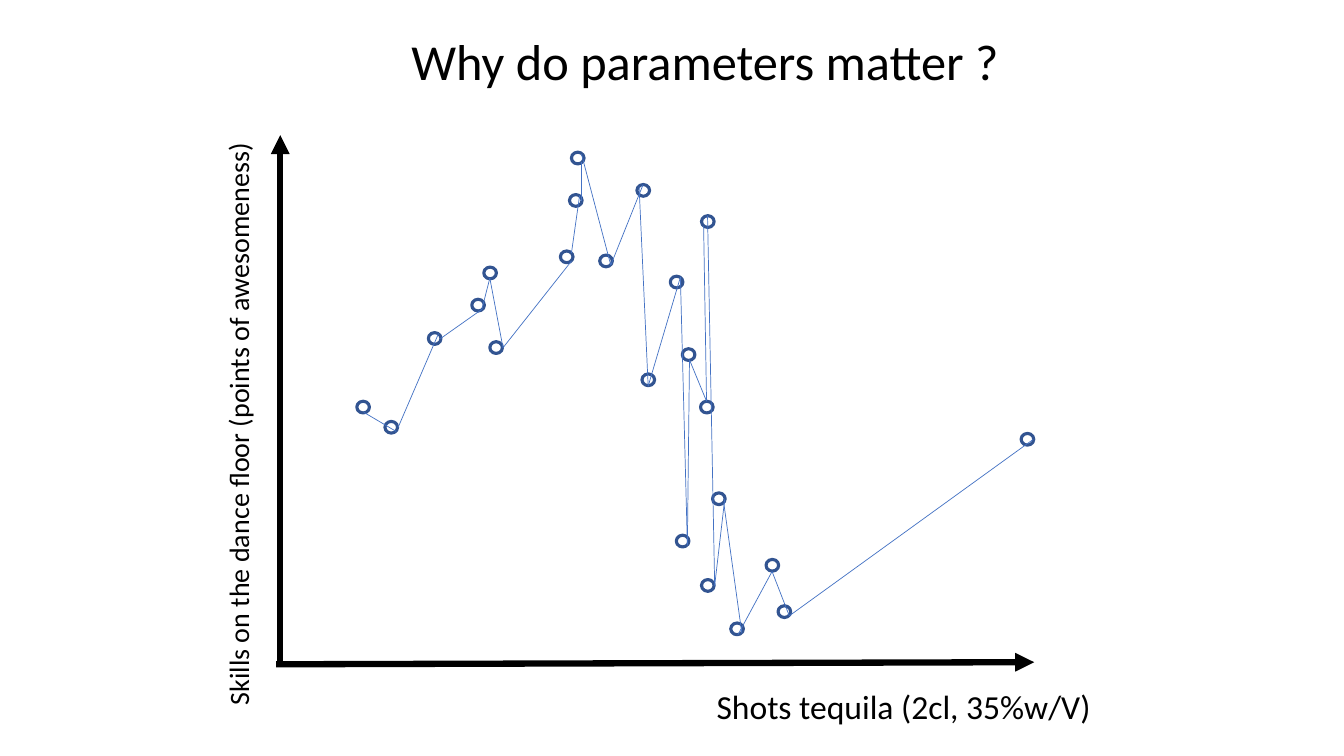
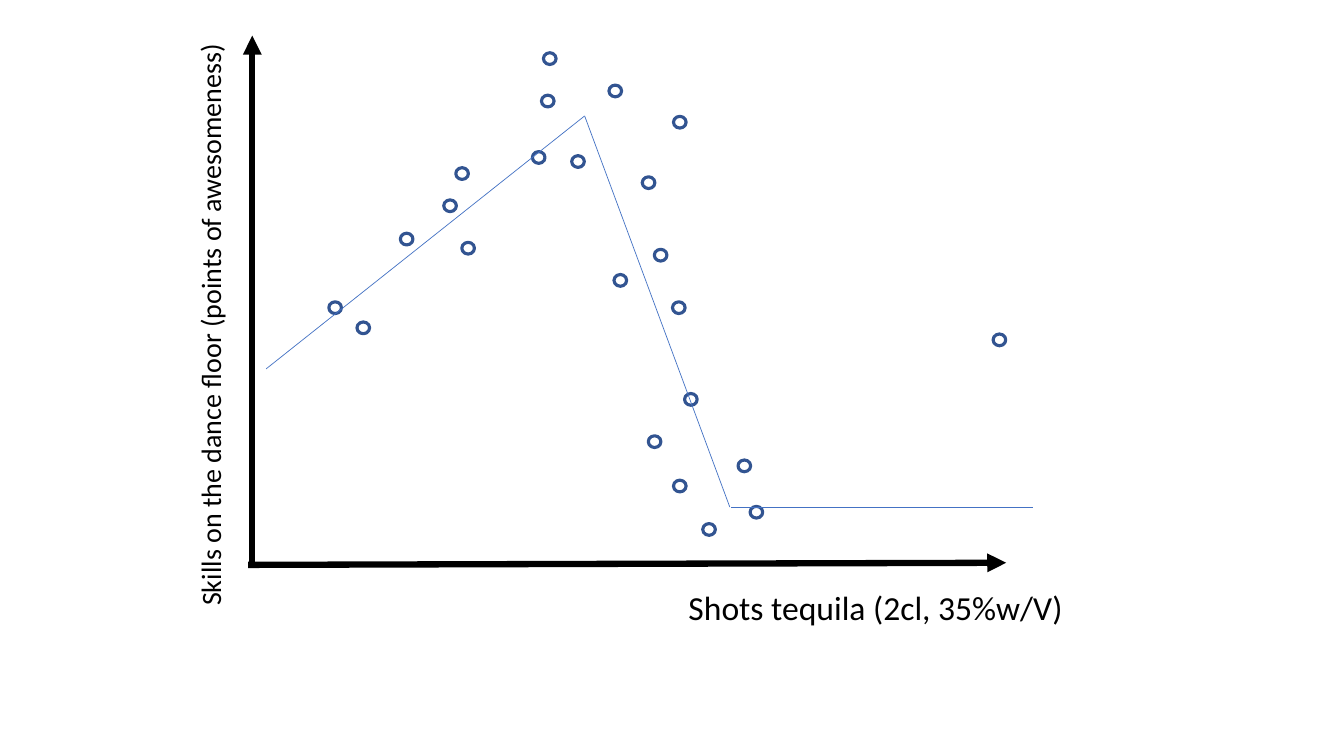
from itertools import pairwise

from lxml.etree import SubElement
from pptx import Presentation
from pptx.dml.color import RGBColor
from pptx.enum.shapes import MSO_CONNECTOR as Connector, MSO_SHAPE as Shape
from pptx.enum.text import MSO_ANCHOR as Anchor, PP_ALIGN as Align
from pptx.oxml.ns import qn
from pptx.util import Pt

BLACK = RGBColor(0x00, 0x00, 0x00)
BLUE = RGBColor(0x44, 0x72, 0xC4)
DARK_BLUE = RGBColor(0x32, 0x54, 0x91)
FONT = "Calibri"
TITLE_ONLY, BLANK = 5, 6

TITLE = "Why do parameters matter ?"
TITLE_BOX = (286.6, 17.3, 438.5, 51)

AXES = [
    [(200.2, 475.9), (200.2, 96.5)],
    [(197.3, 474.5), (738.7, 473)],
]
AXIS_LABELS = [
    ("Shots tequila (2cl, 35%w/V)", (504.7, 486.7, 289.4, 36), 24, 0),
    ("Skills on the dance floor (points of awesomeness)",
     (-39.6, 285.1, 419.8, 31.7), 20, 270),
]
DOT_WIDTH, DOT_HEIGHT = 9, 8.4
DOTS = [
    (254.9, 286.6), (275, 301), (306, 237.6), (337, 213.8), (345.6, 190.8),
    (349.9, 244.1), (400.3, 179.3), (406.8, 139), (408.2, 108.7),
    (428.4, 182.2), (455, 131.8), (458.6, 267.1), (478.8, 197.3),
    (483.1, 382.3), (487.4, 249.1), (500.4, 286.6), (501.1, 154.1),
    (501.1, 414), (509, 352.1), (522, 445), (547.2, 399.6),
    (555.8, 432.7), (729.4, 309.6),
]
DOT_TO_DOT = [
    [(259.9, 294.5), (283, 308.2)],
    [(284.4, 305.3), (313.2, 238.3)],
    [(314.6, 241.9), (344.2, 221), (349.9, 198.7), (359.3, 248.4),
     (408.2, 186.5)],
    [(408.2, 180.7), (414, 139.7)],
    [(415.4, 143.3), (415.4, 115.9)],
    [(415.4, 110.2), (436.3, 189.4), (459.4, 131.8)],
    [(456.5, 133.2), (463, 275.8), (486, 198), (491, 389.5),
     (492.5, 257), (504.7, 286.6), (502.6, 161.3)],
    [(505.4, 154.1), (510.5, 418.3), (517.7, 356.4)],
    [(517, 359.3), (529.9, 452.2)],
    [(527, 453.6), (551.5, 408.2), (563.8, 439.9), (738, 313.9)],
]
TREND = [
    [(190.1, 263.5), (417.6, 82.8), (521.3, 362.2)],
    [(522, 362.2), (738, 362.2)],
]
SLIDES = [
    (TITLE, (0, 0), DOT_TO_DOT),
    (None, (-20, -71), TREND),
]


def write(frame, text, size):
    frame.word_wrap = True
    paragraph = frame.paragraphs[0]
    paragraph.text = text
    paragraph.alignment = Align.LEFT
    paragraph.font.name = FONT
    paragraph.font.size = Pt(size)
    paragraph.font.color.rgb = BLACK


def add_path(slide, points, color, width, arrow=False):
    for start, end in pairwise(points):
        line = slide.shapes.add_connector(
            Connector.STRAIGHT, *map(Pt, start + end))
        line.line.color.rgb = color
        line.line.width = Pt(width)
        if arrow:
            SubElement(line.line._get_or_add_ln(), qn("a:tailEnd"), type="triangle")
        SubElement(line._element.spPr, qn("a:effectLst"))


def add_title(slide, text):
    title = slide.shapes.title
    title.left, title.top, title.width, title.height = map(Pt, TITLE_BOX)
    title.text_frame.vertical_anchor = Anchor.MIDDLE
    write(title.text_frame, text, 36)


def add_plot(slide, dx, dy):
    for axis in AXES:
        add_path(slide, [(x + dx, y + dy) for x, y in axis], BLACK, 4.5, arrow=True)
    for x, y in DOTS:
        dot = slide.shapes.add_shape(
            Shape.OVAL, Pt(x + dx), Pt(y + dy), Pt(DOT_WIDTH), Pt(DOT_HEIGHT))
        dot.shadow.inherit = False
        dot.fill.background()
        dot.line.color.rgb = DARK_BLUE
        dot.line.width = Pt(2.25)
    for text, (x, y, width, height), size, rotation in AXIS_LABELS:
        label = slide.shapes.add_textbox(
            Pt(x + dx), Pt(y + dy), Pt(width), Pt(height))
        label.rotation = rotation
        write(label.text_frame, text, size)


def main():
    deck = Presentation()
    deck.slide_width, deck.slide_height = Pt(960), Pt(540)
    for title, offset, paths in SLIDES:
        layout = deck.slide_layouts[TITLE_ONLY if title else BLANK]
        slide = deck.slides.add_slide(layout)
        if title:
            add_title(slide, title)
        add_plot(slide, *offset)
        for points in paths:
            add_path(slide, points, BLUE, 0.5)
    deck.save("out.pptx")


if __name__ == "__main__":
    main()
